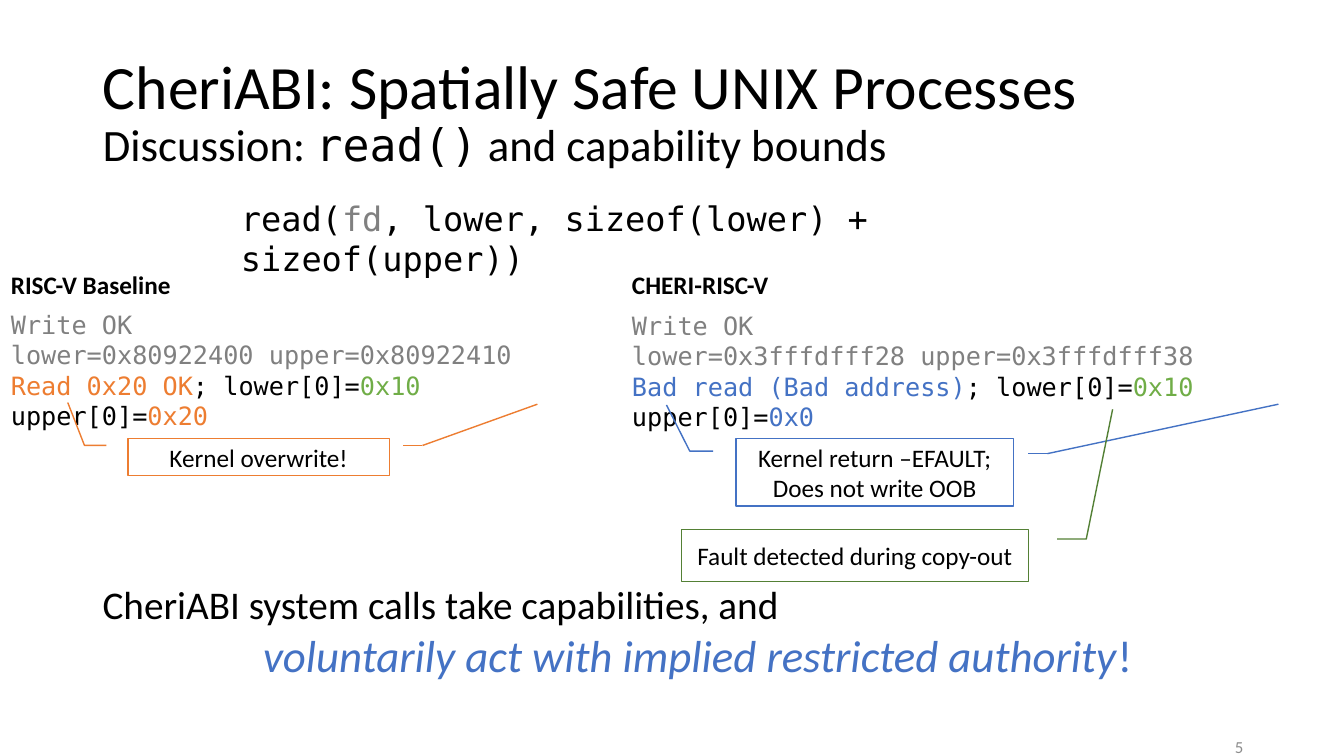
from dataclasses import dataclass

from lxml import etree
from pptx import Presentation
from pptx.dml.color import RGBColor
from pptx.enum.shapes import MSO_CONNECTOR, MSO_SHAPE
from pptx.enum.text import MSO_ANCHOR, MSO_AUTO_SIZE, PP_ALIGN
from pptx.oxml.ns import qn
from pptx.util import Inches, Pt

LEFT, MID, RIGHT = PP_ALIGN.LEFT, PP_ALIGN.CENTER, PP_ALIGN.RIGHT
TOP, CENTER = MSO_ANCHOR.TOP, MSO_ANCHOR.MIDDLE
NO_FIT = MSO_AUTO_SIZE.NONE
CALLOUT = MSO_SHAPE.LINE_CALLOUT_2
STRAIGHT = MSO_CONNECTOR.STRAIGHT


@dataclass(frozen=True)
class Theme:
    sans: str = "Calibri"
    mono: str = "DejaVu Sans Mono"
    black: str = "000000"
    gray: str = "808080"
    pale: str = "8C8C8C"
    orange: str = "ED7D31"
    blue: str = "4472C4"
    green: str = "70AD47"
    moss: str = "538035"
    title: int = 44
    large: int = 32
    lead: int = 28
    code: int = 24
    body: int = 18
    small: int = 12
    line: int = 1


T = Theme()


def part(text, color=T.black, size=T.body, font=T.sans, bold=False, slant=False):
    """One run of text with its style."""
    return text, color, size, font, bold, slant


def mono(text, color=T.black, size=T.body):
    return part(text, color, size, T.mono)


class Page:
    def __init__(self, slide, theme):
        self.slide, self.theme = slide, theme

    def runs(self, para, row):
        for text, color, size, font, bold, slant in row:
            run = para.add_run()
            run.text = text
            run.font.name, run.font.size = font, Pt(size)
            run.font.bold, run.font.italic = bold, slant
            run.font.color.rgb = RGBColor.from_string(color)

    def fill(self, frame, rows, align=LEFT, anchor=TOP):
        """Fill a text frame; each row is a list of parts."""
        frame.word_wrap = True
        frame.auto_size = NO_FIT
        frame.vertical_anchor = anchor
        for i, row in enumerate(rows):
            para = frame.add_paragraph() if i else frame.paragraphs[0]
            para.alignment = align
            self.runs(para, row)
        return frame

    def title(self, box, head, sub):
        shape = self.slide.shapes.title
        shape.left, shape.top, shape.width, shape.height = map(Inches, box)
        para = self.fill(shape.text_frame, [head], anchor=CENTER).paragraphs[0]
        para.line_spacing = 0.9
        para.add_line_break()
        self.runs(para, sub)

    def text(self, box, rows, align=LEFT, anchor=TOP):
        shape = self.slide.shapes.add_textbox(*map(Inches, box))
        return self.fill(shape.text_frame, rows, align, anchor)

    def stroke(self, shape, color):
        shape.line.color.rgb = RGBColor.from_string(color)
        shape.line.width = Pt(self.theme.line)

    def callout(self, box, lines, color, reach, flip=False):
        """Box with a leader; reach is its far end as (y, x) shares."""
        shape = self.slide.shapes.add_shape(CALLOUT, *map(Inches, box))
        shape.shadow.inherit = False
        shape.fill.background()
        self.stroke(shape, color)
        for i, value in enumerate((0.188, -0.083, 0.188, -0.167, *reach)):
            shape.adjustments[i] = value
        if flip:
            shape._element.spPr.find(qn("a:xfrm")).set("flipH", "1")
        self.fill(shape.text_frame, [[part(t)] for t in lines], MID, CENTER)

    def leader(self, points, color):
        """Straight lines from point to point."""
        for start, end in zip(points, points[1:]):
            line = self.slide.shapes.add_connector(
                STRAIGHT, *map(Inches, (*start, *end)))
            self.stroke(line, color)
            etree.SubElement(line._element.spPr, qn("a:effectLst"))


deck = Presentation()
deck.slide_width, deck.slide_height = Inches(13.33), Inches(7.5)
page = Page(deck.slides.add_slide(deck.slide_layouts[5]), T)

# Title and page number
page.title(
    (0.92, 0.4, 11.5, 1.45),
    [part("CheriABI: Spatially Safe UNIX Processes", size=T.title)],
    [part("Discussion: ", size=T.large), mono("read()", size=T.large),
     part(" and capability bounds", size=T.large)])
page.text((9.43, 7.21, 3, 0.4), [[part("5", T.pale, T.small)]], RIGHT, CENTER)

# Conclusion
close = page.text((0.92, 5.71, 11.5, 1.41), [
    [part("CheriABI system calls take capabilities, and", size=T.lead)],
    [part("voluntarily act with implied restricted authority",
          T.blue, T.large, slant=True),
     part("!", T.blue, T.large)]])
last = close.paragraphs[1]
last.level, last.alignment = 1, MID
last._p.get_or_add_pPr().set("marL", str(Inches(0.5)))

# Output of both systems
panels = [
    (0.01, 6.16, 3.02, "RISC-V Baseline", "lower=0x80922400 upper=0x80922410",
     "Read 0x20 OK", "0x20", T.orange),
    (6.17, 7.17, 3.03, "CHERI-RISC-V", "lower=0x3fffdfff28 upper=0x3fffdfff38",
     "Bad read (Bad address)", "0x0", T.blue),
]
for left, width, top, name, bounds, result, upper, color in panels:
    page.text((left, top, width, 1.01), [
        [mono("Write OK", T.gray)],
        [mono(bounds, T.gray)],
        [mono(result, color), mono("; lower[0]="), mono("0x10", T.green),
         mono(" upper[0]="), mono(upper, color)]])
    page.text((left, 2.62, width, 0.4), [[part(name, bold=True)]])

# Callouts and their second leaders
page.callout((1.27, 4.35, 2.59, 0.37), ["Kernel overwrite!"],
             T.orange, (-0.963, -0.231))
page.callout((7.3, 4.35, 2.75, 0.67),
             ["Kernel return –EFAULT;", "Does not write OOB"],
             T.blue, (-0.496, -0.251))
page.leader([(4, 4.42), (4.19, 4.42), (5.33, 4.01)], T.orange)
page.leader([(10.2, 4.5), (10.39, 4.5), (12.68, 4.01)], T.blue)
page.callout((6.76, 5.25, 3.44, 0.52), ["Fault detected during copy-out"],
             T.moss, (-2.287, -0.243), flip=True)

# The call under discussion
page.text((2.29, 1.91, 8.75, 0.5), [[
    mono("read(", size=T.code), mono("fd", T.gray, T.code),
    mono(", lower, sizeof(lower) + sizeof(upper))", size=T.code)]])

deck.save("out.pptx")
